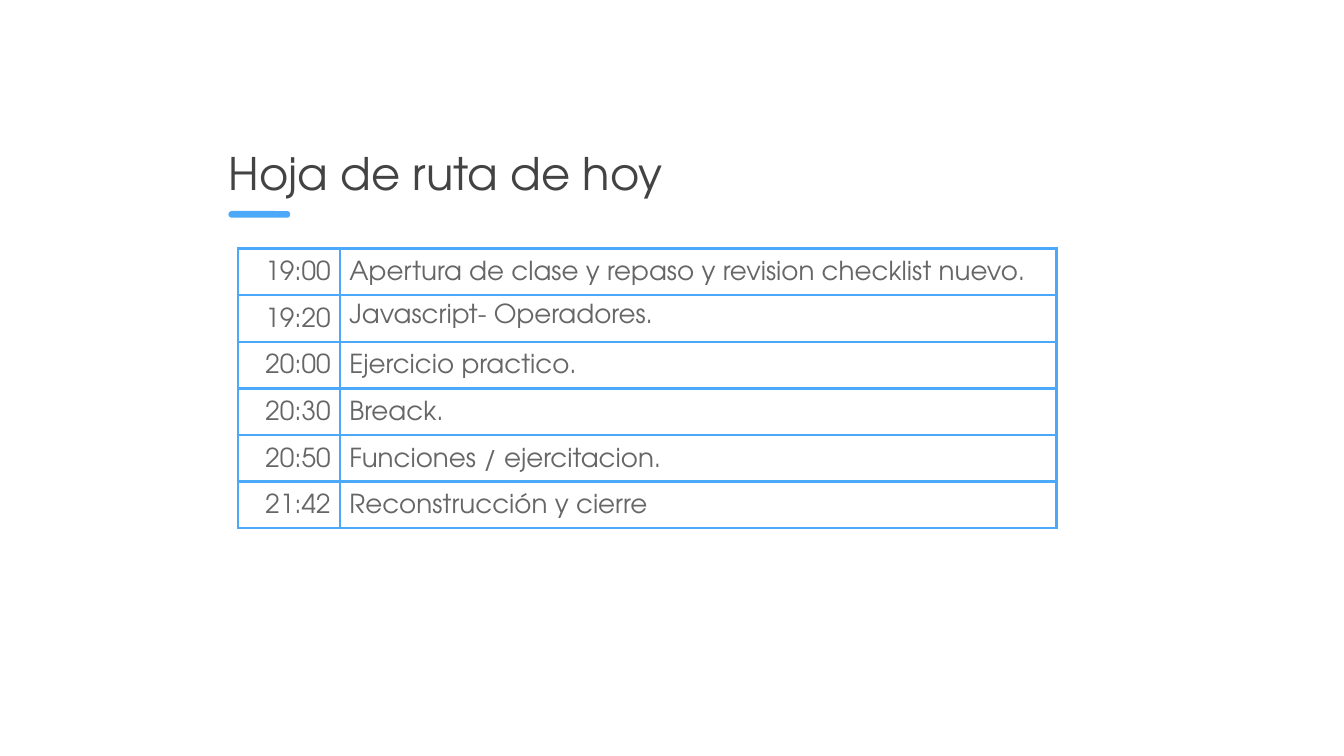
import pptx
import pptx.dml.color
import pptx.enum.shapes
import pptx.enum.text
import pptx.oxml
import pptx.oxml.ns
import pptx.util
from pptx.util import Inches

FONT = "TeX Gyre Adventor"
COLORS = {"accent": "4CA8F8", "title": "434343", "body": "666666", "background": "FFFFFF"}
ALIGN = pptx.enum.text.PP_ALIGN
TITLE = "Hoja de ruta de hoy"
# Time, activity, alignment and line spacing of the activity
AGENDA = [
    ("19:00", "Apertura de clase y repaso y revision checklist nuevo.", ALIGN.JUSTIFY, 1.15),
    ("19:20", "Javascript- Operadores.", ALIGN.LEFT, 1.0),
    ("20:00", "Ejercicio practico.", ALIGN.JUSTIFY, 1.15),
    ("20:30", "Breack.", ALIGN.LEFT, 1.15),
    ("20:50", "Funciones / ejercitacion.", ALIGN.LEFT, 1.15),
    ("21:42", "Reconstrucción y cierre", ALIGN.LEFT, 1.15),
]
SLIDE_WIDTH = 10
SLIDE_HEIGHT = SLIDE_WIDTH * 9 / 16
COLUMN_WIDTHS = (0.76, 5.33)
ROW_HEIGHT = 0.34


def rgb(name):
    return pptx.dml.color.RGBColor.from_string(COLORS[name])


def set_margins(area, inches):
    area.margin_left = area.margin_right = Inches(inches)
    area.margin_top = area.margin_bottom = Inches(inches)


def style_font(paragraph, size, color):
    paragraph.font.name = FONT
    paragraph.font.size = pptx.util.Pt(size)
    paragraph.font.bold = False
    paragraph.font.color.rgb = rgb(color)


def add_borders(cell):
    properties = cell._tc.get_or_add_tcPr()
    for position, side in enumerate(("lnL", "lnR", "lnT", "lnB")):
        border = pptx.oxml.parse_xml(
            f'<a:{side} {pptx.oxml.ns.nsdecls("a")} w="{pptx.util.Pt(1.5)}"><a:solidFill>'
            f'<a:srgbClr val="{COLORS["accent"]}"/></a:solidFill></a:{side}>')
        properties.insert(position, border)


def fill_cell(cell, text, align, spacing):
    cell.text = text
    set_margins(cell, 0.07)
    cell.fill.background()
    paragraph = cell.text_frame.paragraphs[0]
    paragraph.alignment = align
    paragraph.line_spacing = spacing
    style_font(paragraph, 14, "body")
    add_borders(cell)


def main():
    deck = pptx.Presentation()
    deck.slide_width, deck.slide_height = Inches(SLIDE_WIDTH), Inches(SLIDE_HEIGHT)
    slide = deck.slides.add_slide(deck.slide_layouts[5])
    slide.background.fill.solid()
    slide.background.fill.fore_color.rgb = rgb("background")

    # Title
    title = slide.shapes.title
    title.left, title.top = Inches(1.6), Inches(1)
    title.width, title.height = Inches(5.09), Inches(0.57)
    title.text_frame.text = TITLE
    title.text_frame.auto_size = pptx.enum.text.MSO_AUTO_SIZE.NONE
    title.text_frame.vertical_anchor = pptx.enum.text.MSO_ANCHOR.MIDDLE
    set_margins(title.text_frame, 0.1)
    heading = title.text_frame.paragraphs[0]
    heading.alignment = ALIGN.LEFT
    style_font(heading, 24, "title")

    # Underline accent
    underline = slide.shapes.add_shape(
        pptx.enum.shapes.MSO_SHAPE.ROUNDED_RECTANGLE,
        Inches(1.7), Inches(1.57), Inches(0.46), Inches(0.05))
    underline.adjustments[0] = 0.5
    underline.shadow.inherit = False
    underline.fill.solid()
    underline.fill.fore_color.rgb = rgb("accent")
    underline.line.fill.background()

    # Agenda table
    agenda = slide.shapes.add_table(
        len(AGENDA), len(COLUMN_WIDTHS), Inches(1.77), Inches(1.85),
        Inches(sum(COLUMN_WIDTHS)), Inches(ROW_HEIGHT * len(AGENDA))).table
    agenda.first_row = agenda.horz_banding = False
    for column, width in zip(agenda.columns, COLUMN_WIDTHS):
        column.width = Inches(width)
    for row, (time, activity, align, spacing) in zip(agenda.rows, AGENDA):
        row.height = Inches(ROW_HEIGHT)
        fill_cell(row.cells[0], time, ALIGN.RIGHT, 1.15)
        fill_cell(row.cells[1], activity, align, spacing)

    deck.save("out.pptx")


if __name__ == "__main__":
    main()
